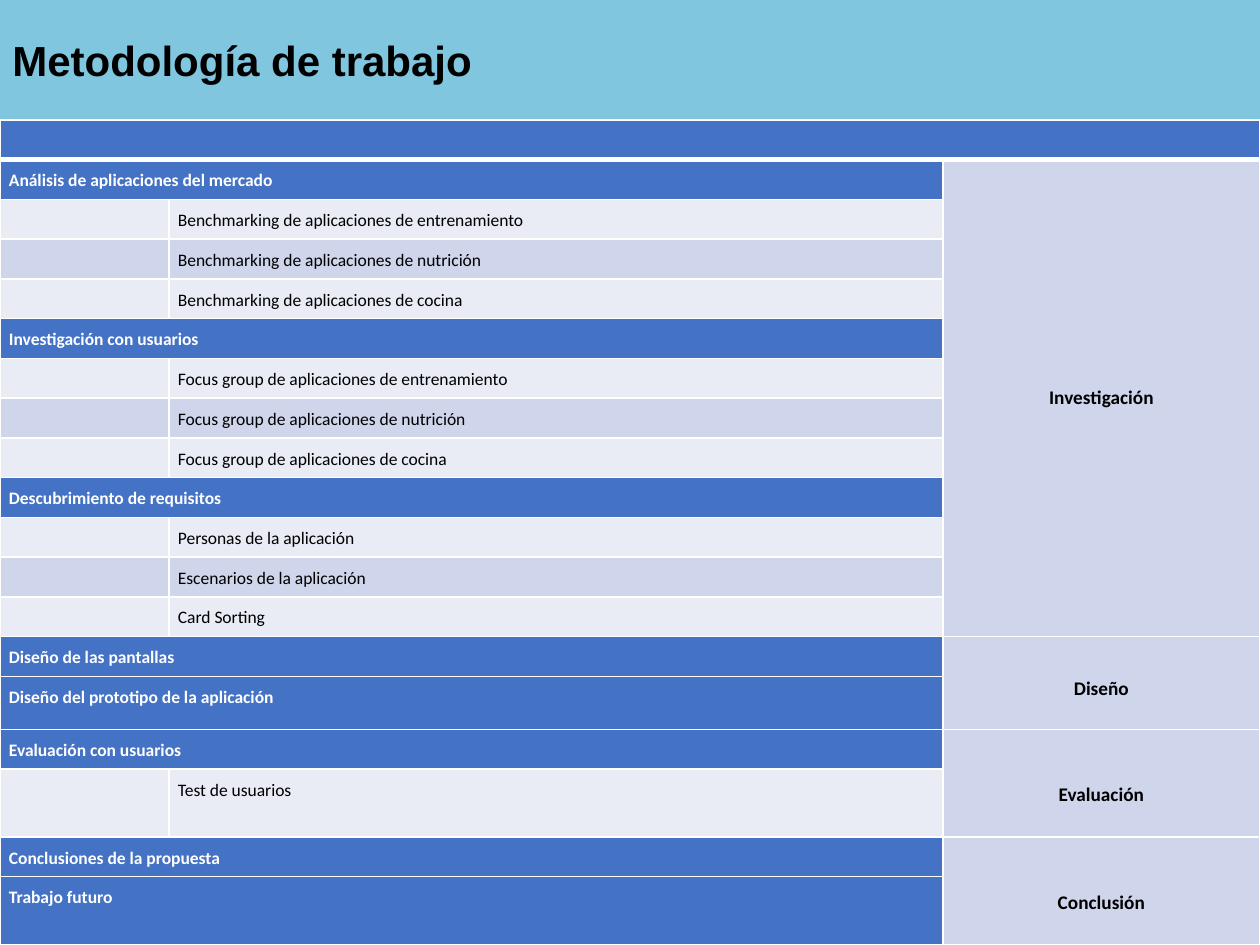
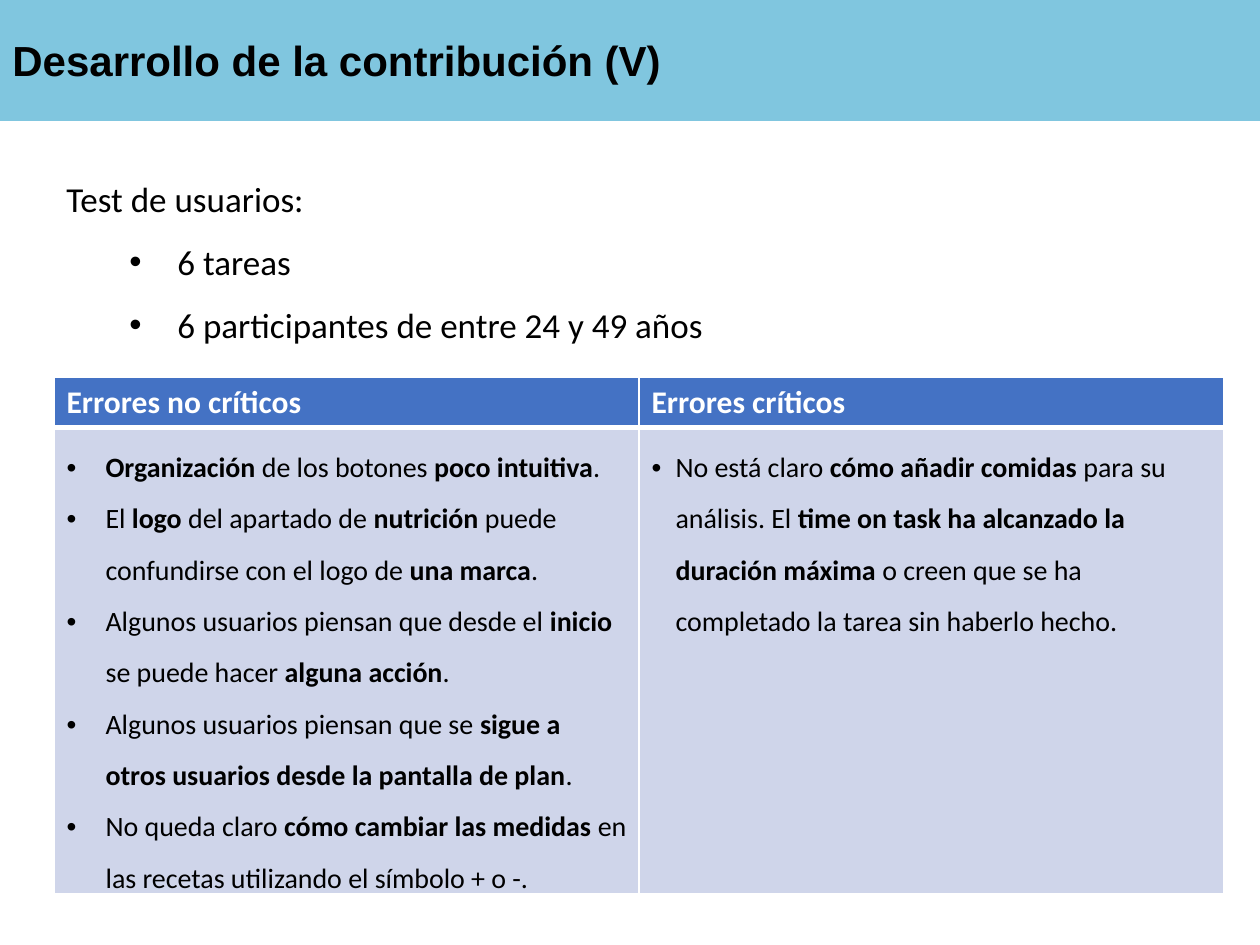
from lxml.etree import SubElement
from pptx import Presentation
from pptx.dml.color import RGBColor
from pptx.enum.shapes import MSO_SHAPE
from pptx.enum.text import MSO_ANCHOR, PP_ALIGN
from pptx.oxml.ns import qn
from pptx.util import Pt

SCALE = 914400 / 126
BAND, BLUE, LIGHT, PALE = "80C6DF", "4472C4", "CFD5EA", "E9EBF5"
BLACK, WHITE = "000000", "FFFFFF"

SECTIONS = [
    ("Análisis de aplicaciones del mercado", [
        "Benchmarking de aplicaciones de entrenamiento",
        "Benchmarking de aplicaciones de nutrición",
        "Benchmarking de aplicaciones de cocina"]),
    ("Investigación con usuarios", [
        "Focus group de aplicaciones de entrenamiento",
        "Focus group de aplicaciones de nutrición",
        "Focus group de aplicaciones de cocina"]),
    ("Descubrimiento de requisitos", [
        "Personas de la aplicación",
        "Escenarios de la aplicación",
        "Card Sorting"]),
    ("Diseño de las pantallas", []),
    ("Diseño del prototipo de la aplicación", []),
    ("Evaluación con usuarios", ["Test de usuarios"]),
    ("Conclusiones de la propuesta", []),
    ("Trabajo futuro", []),
]
PHASES = [("Investigación", 12, 0), ("Diseño", 2, 12),
          ("Evaluación", 2, 24), ("Conclusión", 2, 24)]
TALL_ROWS = {14: 53, 16: 68, 18: 68}

TEST_FACTS = ["6 tareas", "6 participantes de entre 24 y 49 años"]
ERRORS = [
    ("Errores no críticos", 39, [
        "*Organización* de los botones *poco intuitiva*.",
        "El *logo* del apartado de *nutrición* puede confundirse "
        "con el logo de *una marca*.",
        "Algunos usuarios piensan que desde el *inicio* se puede hacer "
        "*alguna acción*.",
        "Algunos usuarios piensan que se *sigue a otros usuarios desde "
        "la pantalla de plan*.",
        "No queda claro *cómo cambiar las medidas *en las recetas "
        "utilizando el símbolo + o -."]),
    ("Errores críticos", 24, [
        "No está claro *cómo añadir comidas *para su análisis. El "
        "*time on task ha alcanzado la duración máxima *o creen que se ha "
        "completado la tarea sin haberlo hecho."]),
]


def px(n):
    return round(n * SCALE)


def rgb(color):
    return RGBColor.from_string(color)


def write(p, text, size, color=BLACK, bold=False, font="Calibri"):
    for i, part in enumerate(text.split("*")):
        if part:
            r = p.add_run()
            r.text = part
            r.font.size = Pt(size)
            r.font.name = font
            r.font.bold = bold or i % 2 == 1
            r.font.color.rgb = rgb(color)


def bullet(p, left, hanging):
    pPr = p._p.get_or_add_pPr()
    pPr.set("marL", str(px(left)))
    pPr.set("indent", str(-px(hanging)))
    SubElement(pPr, qn("a:buFont")).set("typeface", "Arial")
    SubElement(pPr, qn("a:buChar")).set("char", "•")


def paragraphs(tf, count):
    while len(tf.paragraphs) < count:
        tf.add_paragraph()
    return tf.paragraphs


def style_cell(cell, fill, bottom=1):
    cell.fill.solid()
    cell.fill.fore_color.rgb = rgb(fill)
    tcPr = cell._tc.get_or_add_tcPr()
    for i, side in enumerate("LRTB"):
        ln = SubElement(tcPr, qn("a:ln" + side))
        ln.set("w", str(Pt(bottom if side == "B" else 1)))
        color = SubElement(SubElement(ln, qn("a:solidFill")), qn("a:srgbClr"))
        color.set("val", WHITE)
        tcPr.insert(i, ln)


def tight(cell, top=0):
    cell.margin_left = cell.margin_right = px(9)
    cell.margin_top, cell.margin_bottom = px(top), 0
    end = cell.text_frame.paragraphs[0]._p.get_or_add_endParaRPr()
    end.set("sz", "1000")


def add_table(s, box, widths, heights):
    shape = s.shapes.add_table(len(heights), len(widths), *map(px, box))
    table = shape.table
    table.first_row = table.horz_banding = False
    for column, width in zip(table.columns, widths):
        column.width = px(width)
    for row, height in zip(table.rows, heights):
        row.height = px(height)
    return table


def title_band(s, box, text):
    sp = s.shapes.add_shape(MSO_SHAPE.RECTANGLE, *map(px, box))
    sp.shadow.inherit = False
    sp.fill.solid()
    sp.fill.fore_color.rgb = rgb(BAND)
    sp.line.color.rgb = rgb(BAND)
    sp.line.width = Pt(1)
    tf = sp.text_frame
    tf.word_wrap = True
    tf.vertical_anchor = MSO_ANCHOR.MIDDLE
    p = tf.paragraphs[0]
    p.alignment = PP_ALIGN.LEFT
    write(p, text, 24, bold=True, font="Arial")


def plan_table(s, box):
    width, height = box[2:]
    rows = [("", True)]
    for heading, steps in SECTIONS:
        rows += [(heading, True)] + [(step, False) for step in steps]
    plain = (height - sum(TALL_ROWS.values())) / (len(rows) - len(TALL_ROWS))
    heights = [TALL_ROWS.get(i, plain) for i in range(len(rows))]
    table = add_table(s, box, [169, 774, width - 943], heights)

    for i, (text, heading) in enumerate(rows):
        band = BLUE if heading else LIGHT if i % 2 else PALE
        for j in range(3):
            cell = table.cell(i, j)
            style_cell(cell, LIGHT if i and j == 2 else band, 1 if i else 3)
            tight(cell)
        if heading:
            table.cell(i, 0).merge(table.cell(i, 1 if i else 2))
        if text:
            p = table.cell(i, 0 if heading else 1).text_frame.paragraphs[0]
            p.alignment = PP_ALIGN.JUSTIFY
            p.line_spacing = 1.5
            p.space_after = Pt(10)
            write(p, text, 10, WHITE if heading else BLACK, heading)

    first = 1
    for name, span, top in PHASES:
        cell = table.cell(first, 2)
        cell.merge(table.cell(first + span - 1, 2))
        tight(cell, top)
        cell.vertical_anchor = MSO_ANCHOR.MIDDLE
        p = cell.text_frame.paragraphs[0]
        p.alignment = PP_ALIGN.CENTER
        write(p, name, 11, bold=True)
        first += span


def test_summary(s, box):
    tf = s.shapes.add_textbox(*map(px, box)).text_frame
    tf.word_wrap = True
    lines = ["Test de usuarios:"] + TEST_FACTS
    for i, p in enumerate(paragraphs(tf, len(lines))):
        p.line_spacing = 1.5
        if i:
            p.level = 1
            bullet(p, 111, 48)
        write(p, lines[i], 20)


def error_table(s, box):
    width, height = box[2:]
    table = add_table(s, box, [width / 2] * 2, [50, height - 50])
    for j, (heading, hanging, errors) in enumerate(ERRORS):
        head, body = table.cell(0, j), table.cell(1, j)
        style_cell(head, BLUE, 3)
        style_cell(body, LIGHT)
        write(head.text_frame.paragraphs[0], heading, 18, WHITE, True)
        for p, error in zip(paragraphs(body.text_frame, len(errors)), errors):
            p.line_spacing = 1.5
            bullet(p, hanging, hanging)
            write(p, error, 16)


def new_slide(prs, title):
    s = prs.slides.add_slide(prs.slide_layouts[6])
    title_band(s, (0, 0, 1260, 120), title)
    return s


prs = Presentation()
prs.slide_width, prs.slide_height = px(1260), px(945)

s = new_slide(prs, "Metodología de trabajo")
plan_table(s, (0, 120, 1260, 825))

s = new_slide(prs, "Desarrollo de la contribución (V)")
test_summary(s, (54, 150, 1153, 202))
error_table(s, (54, 377, 1170, 512))

prs.save("out.pptx")
